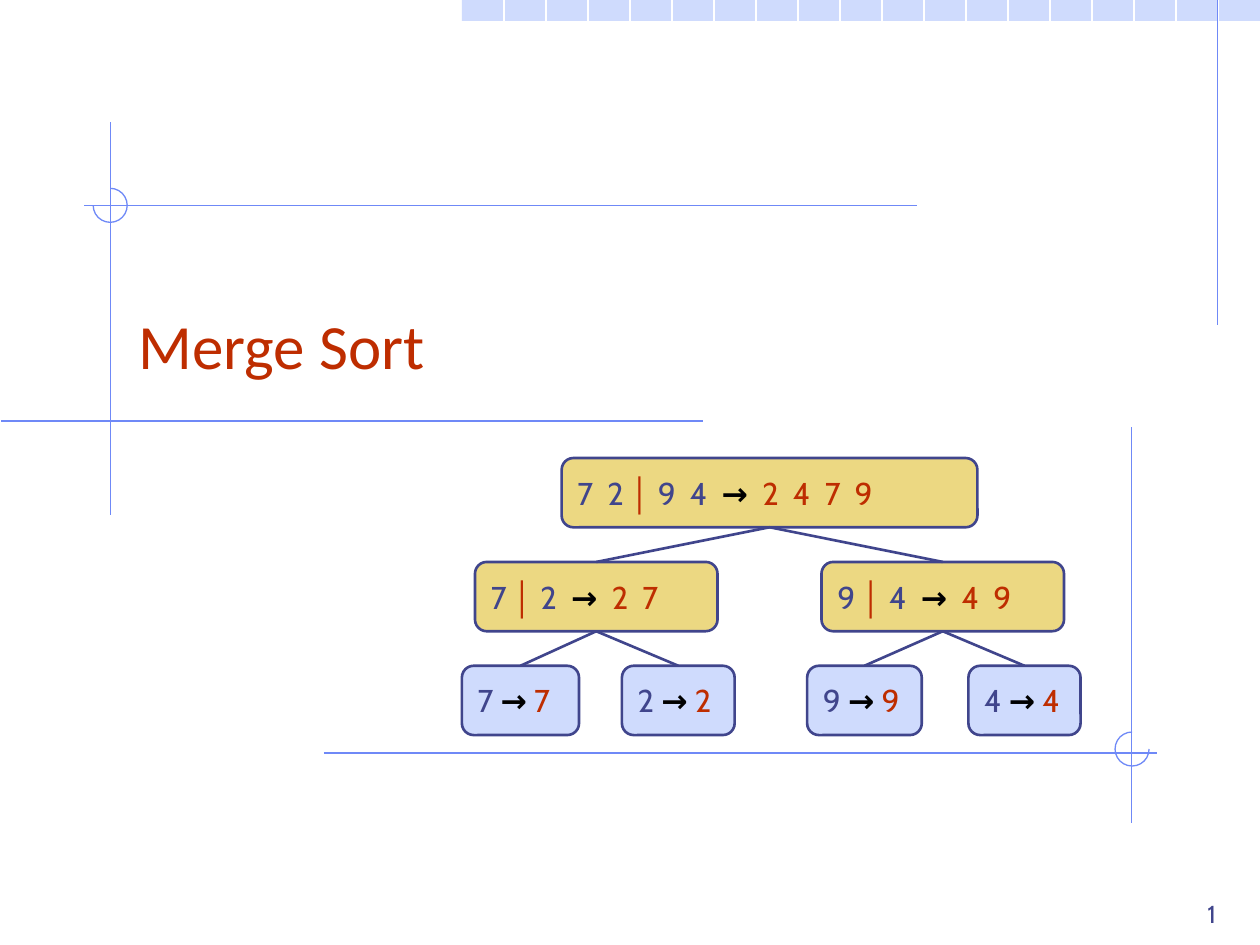
from lxml import etree
from pptx import Presentation
from pptx import util as u
from pptx.dml.color import RGBColor
from pptx.enum import shapes, text
from pptx.oxml import ns

WHITE = RGBColor(0xFF, 0xFF, 0xFF)
BLACK = RGBColor(0x00, 0x00, 0x00)
PALE_BLUE = RGBColor(0xCF, 0xDB, 0xFD)
RULE_BLUE = RGBColor(0x6F, 0x89, 0xF7)
INDIGO = RGBColor(0x40, 0x45, 0x8C)
RUST = RGBColor(0xBE, 0x2D, 0x00)
SAND = RGBColor(0xEC, 0xD8, 0x82)

COLUMNS, ROWS = 100, 75
TILE = COLUMNS / 30
NODE_HEIGHT = 5.5


class MergeSortSlide:
    """Draws a slide on a grid of 100 columns by 75 rows in one shared style."""

    body_font, title_font, bar_font = "Cabin", "Calibri", "Arial"

    def __init__(self, deck):
        self.cell = deck.slide_width / COLUMNS
        self.page = deck.slides.add_slide(deck.slide_layouts[5])

    def grid(self, *cells):
        return [u.Emu(round(cell * self.cell)) for cell in cells]

    def title(self, words, *area):
        box = self.page.shapes.title
        box.left, box.top, box.width, box.height = self.grid(*area)
        box.text_frame.vertical_anchor = text.MSO_ANCHOR.BOTTOM
        para = box.text_frame.paragraphs[0]
        para.text = words
        para.alignment = text.PP_ALIGN.LEFT
        self.style(para.font, self.title_font, 36, RUST)

    def style(self, font, name, size, color, bold=False):
        font.name, font.size, font.bold = name, u.Pt(size), bold
        font.color.rgb = color

    def shape(self, kind, area, fill=None, line=None, weight=0.75):
        shape = self.page.shapes.add_shape(kind, *self.grid(*area))
        shape.shadow.inherit = False
        if fill is None:
            shape.fill.background()
        else:
            shape.fill.solid()
            shape.fill.fore_color.rgb = fill
        if line is None:
            shape.line.fill.background()
        else:
            shape.line.color.rgb = line
            shape.line.width = u.Pt(weight)
        return shape

    def line(self, ends, color=RULE_BLUE, weight=0.75):
        line = self.page.shapes.add_connector(
            shapes.MSO_CONNECTOR.STRAIGHT, *self.grid(*ends))
        line.line.color.rgb = color
        line.line.width = u.Pt(weight)
        etree.SubElement(line._element.spPr, ns.qn("a:effectLst"))
        return line

    def arc(self, x, y, start, end, radius=1.35):
        area = (x - radius, y - radius, 2 * radius, 2 * radius)
        arc = self.shape(shapes.MSO_SHAPE.ARC, area, line=RULE_BLUE)
        arc.adjustments[0], arc.adjustments[1] = start * 0.6, end * 0.6

    def node(self, x, y, width, fill, spans):
        box = self.shape(shapes.MSO_SHAPE.ROUNDED_RECTANGLE,
                         (x, y, width, NODE_HEIGHT), fill, INDIGO, 1.5)
        box.adjustments[0] = 0.17
        box.text_frame.word_wrap = False
        box.text_frame.vertical_anchor = text.MSO_ANCHOR.MIDDLE
        para = box.text_frame.paragraphs[0]
        para.alignment = text.PP_ALIGN.LEFT
        for words, font, color, bold in spans:
            span = para.add_run()
            span.text = words
            self.style(span.font, font, 18, color, bold)
        return box

    def split(self, x, y, width, left, right, merged):
        return self.node(x, y, width, SAND, [
            (left + " ", self.body_font, INDIGO, False),
            ("│", self.bar_font, RUST, True),
            (f" {right}  ", self.body_font, INDIGO, False),
            ("→  ", self.body_font, BLACK, True),
            (merged, self.body_font, RUST, False)])

    def leaf(self, x, y, width, digit):
        return self.node(x, y, width, PALE_BLUE, [
            (digit + " ", self.body_font, INDIGO, False),
            ("→ ", self.body_font, BLACK, True),
            (digit, self.body_font, RUST, False)])

    def branch(self, parent, *children):
        for child in children:
            edge = self.line((0, 0, 1, 1), INDIGO, 1.5)
            edge.begin_connect(parent, 2)
            edge.end_connect(child, 0)

    def number(self, words, *area):
        box = self.page.shapes.add_textbox(*self.grid(*area))
        box.text_frame.word_wrap = True
        box.text_frame.vertical_anchor = text.MSO_ANCHOR.BOTTOM
        para = box.text_frame.paragraphs[0]
        para.text = words
        para.alignment = text.PP_ALIGN.RIGHT
        self.style(para.font, self.body_font, 14, INDIGO)


def main():
    deck = Presentation()
    deck.slide_width, deck.slide_height = u.Inches(10), u.Inches(7.5)
    slide = MergeSortSlide(deck)

    band_left = 11 * TILE
    slide.shape(shapes.MSO_SHAPE.RECTANGLE,
                (band_left, 0, COLUMNS - band_left, TILE / 2), PALE_BLUE)
    for tile in range(12, 30):
        slide.line((tile * TILE, 0, tile * TILE, ROWS), WHITE)
    for ends in [(96.64, 0, 96.64, 25.8), (8.77, 9.7, 8.77, 40.9),
                 (0.1, 33.42, 55.8, 33.42), (6.7, 16.32, 72.8, 16.32),
                 (25.7, 59.76, 91.8, 59.76), (89.82, 33.9, 89.82, 65.3)]:
        slide.line(ends)
    slide.arc(8.75, 16.3, 270, 180)
    slide.arc(89.85, 59.45, 0, 270)

    slide.title("Merge Sort", 10, 18.3, 85, 12.5)

    root = slide.split(44.58, 36.35, 33, "7  2", "9  4", "2  4  7  9")
    halves = [slide.split(x, 44.6, 19.25, *digits) for x, digits in
              [(37.7, ("7", "2", "2  7")), (65.2, ("9", "4", "4  9"))]]
    leaves = [slide.leaf(x, 52.84, width, digit) for x, width, digit in
              [(36.66, 9.3, "7"), (49.36, 8.95, "2"),
               (64.06, 9.1, "9"), (76.86, 8.9, "4")]]
    slide.branch(root, *halves)
    slide.branch(halves[0], *leaves[:2])
    slide.branch(halves[1], *leaves[2:])

    slide.number("1", 76.7, 69.2, 20.8, 5)
    deck.save("out.pptx")


if __name__ == "__main__":
    main()
